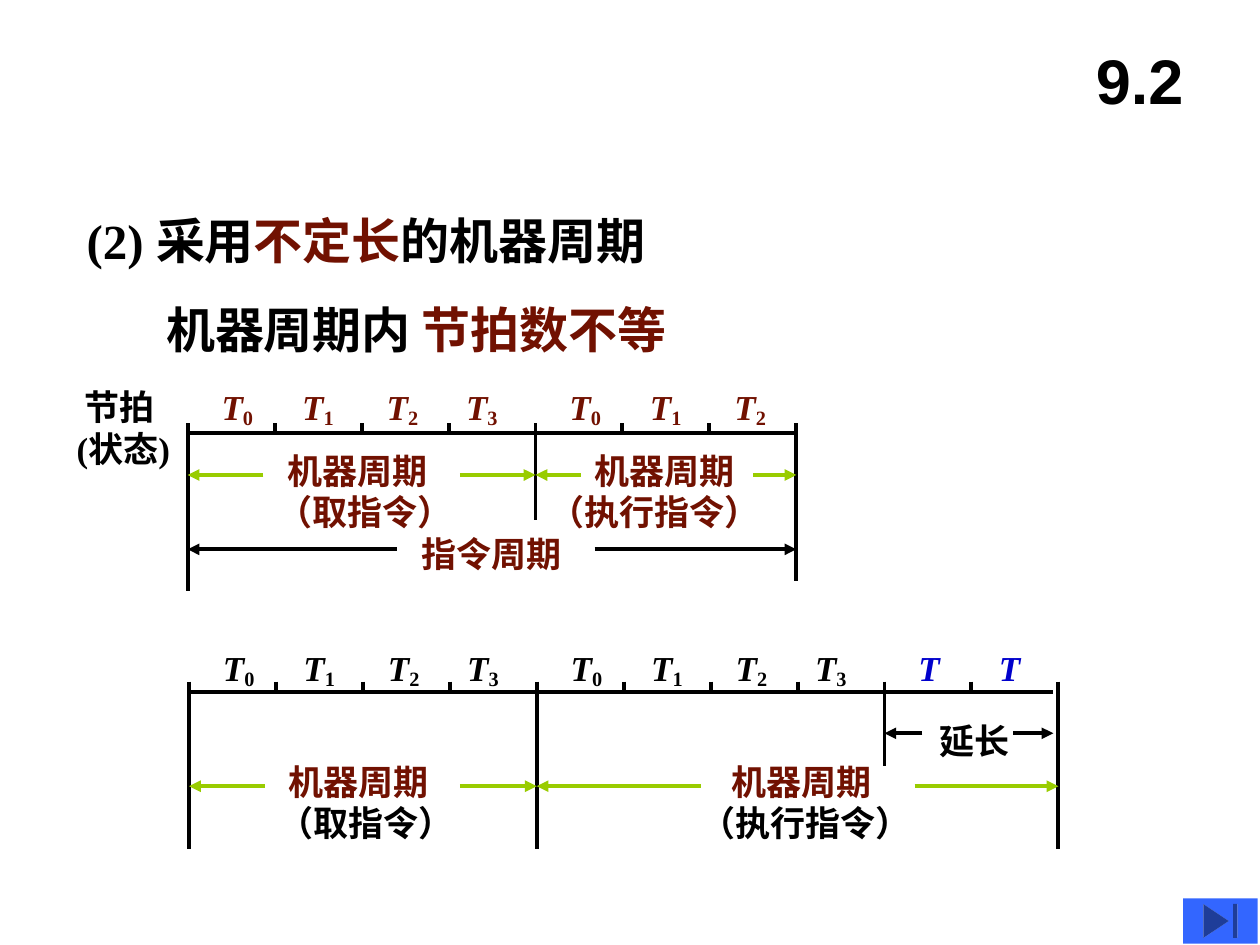
from lxml.etree import SubElement
from pptx import Presentation
from pptx.dml.color import RGBColor as Rgb
from pptx.enum.shapes import MSO_CONNECTOR as Conn, MSO_SHAPE as Shape
from pptx.enum.text import MSO_ANCHOR as Anchor, MSO_AUTO_SIZE as Fit, PP_ALIGN as Align
from pptx.oxml.ns import qn
from pptx.util import Inches, Pt

COLORS = {"ink": "000000", "red": "711101", "green": "99CC00", "blue": "0000CC", "key": "3366FF"}
STEP = 0.69
CYCLE = 4 * STEP
TICK = 0.08
MARKS = (0.17, 0.81, 1.48, 2.11)
BODY = {"name": "Times New Roman", "size": Pt(20), "bold": True}
HEAD = BODY | {"size": Pt(28)}
TITLE = BODY | {"name": "Arial", "size": Pt(36)}


def paint(name):
    return Rgb.from_string(COLORS[name])


def write(slide, box, rows, form=BODY, wrap=False):
    frame = slide.shapes.add_textbox(*map(Inches, box)).text_frame
    frame.word_wrap = wrap
    frame.auto_size = Fit.SHAPE_TO_FIT_TEXT
    for num, row in enumerate(rows):
        para = frame.add_paragraph() if num else frame.paragraphs[0]
        for text, tint, extra in row:
            run = para.add_run()
            run.text = text
            run.font.color.rgb = paint(tint)
            for key, value in (form | extra).items():
                setattr(run.font, key, value)
    return frame


def rule(slide, start, end, tint="ink", arrow=False):
    ends = map(Inches, (*start, *end))
    line = slide.shapes.add_connector(Conn.STRAIGHT, *ends)
    line.line.color.rgb = paint(tint)
    line.line.width = Pt(2.25)
    if arrow:
        SubElement(line.line._get_or_add_ln(), qn("a:tailEnd"), type="triangle")
    SubElement(line._element.spPr, qn("a:effectLst"))


def label(slide, left, top, text, tint):
    width = 0.2 + 0.278 * len(text)
    write(slide, (left, top, width, 0.44), [[(text, tint, {})]])


def beats(slide, left, axis, top, signs, tint):
    for num, sign in enumerate(signs):
        row = [("T", tint, {"italic": True})]
        if sign:
            row.append((sign, tint, {}))
        width = 0.45 if sign else 0.37
        frame = write(slide, (left + MARKS[num], top, width, 0.45), [row])
        for run in frame.paragraphs[0].runs[1:]:
            run.font._element.set("baseline", "-15000")
        if num:
            spot = left + num * STEP
            rule(slide, (spot, axis - TICK), (spot, axis))


def span(slide, left, right, level, gap, tint):
    rule(slide, (gap[0], level), (left, level), tint, True)
    rule(slide, (gap[1], level), (right, level), tint, True)


def phase(slide, left, right, level, gap, lead, note, tint):
    span(slide, left, right, level, gap, "green")
    label(slide, lead, level - 0.25, "机器周期", "red")
    label(slide, note[0], level + 0.07, note[1], tint)


def scale(slide, box, top, groups, walls):
    left, axis, width = box
    rule(slide, (left, axis), (left + width, axis))
    for num, (signs, tint) in enumerate(groups):
        beats(slide, left + num * CYCLE, axis, top, signs, tint)
    for spot, foot in walls:
        rule(slide, (spot, axis - TICK), (spot, foot))


def short(slide, left, axis):
    mid, end = left + CYCLE, left + 7 * STEP
    level = axis + 0.33
    scale(slide, (left, axis, end - left), 3.01, [("0123", "red"), ("012", "red")],
          [(left, 4.69), (mid, 4.13), (end, 4.61)])
    phase(slide, left, mid, level, (2.09, 3.65), 2.18, (2.1, "（取指令）"), "red")
    phase(slide, mid, end, level, (4.61, 5.98), 4.62, (4.26, "（执行指令）"), "red")
    span(slide, left, end, 4.36, (3.15, 4.72), "ink")
    label(slide, 3.25, 4.18, "指令周期", "red")


def long(slide, left, axis):
    mid, late, end = left + CYCLE, left + 2 * CYCLE, left + 10 * STEP
    level, foot = axis + 0.75, axis + 1.25
    scale(slide, (left, axis, 6.86), 5.08, [("0123", "ink"), ("0123", "ink"), (("", ""), "blue")],
          [(left, foot), (mid, foot), (late, 6.08), (end, foot)])
    phase(slide, left, mid, level, (2.1, 3.65), 2.19, (2.11, "（取指令）"), "ink")
    phase(slide, mid, end, level, (5.56, 7.26), 5.71, (5.46, "（执行指令）"), "ink")
    span(slide, late, 8.36, 5.82, (7.32, 8.04), "ink")
    label(slide, 7.36, 5.66, "延长", "ink")


def heading(slide, left, top):
    first = [("(2) 采用", "ink", {}), ("不定长", "red", {}), ("的机器周期", "ink", {})]
    second = [("机器周期内 ", "ink", {}), ("节拍数不等", "red", {})]
    write(slide, (left, top, 6.4, 0.57), [first], HEAD, True)
    write(slide, (left + 0.63, top + 0.71, 5.51, 0.57), [second], HEAD, True)


def number(slide, box):
    frame = write(slide, box, [[("9.2", "ink", {})]], TITLE, True)
    frame.auto_size = Fit.NONE
    frame.vertical_anchor = Anchor.MIDDLE
    frame.paragraphs[0].alignment = Align.CENTER


def button(slide, box):
    key = slide.shapes.add_shape(Shape.ACTION_BUTTON_END, *map(Inches, box))
    key.shadow.inherit = False
    key.fill.solid()
    key.fill.fore_color.rgb = paint("key")
    key.line.fill.background()


def main():
    deck = Presentation()
    deck.slide_width, deck.slide_height = Inches(10), Inches(7.5)
    slide = deck.slides.add_slide(deck.slide_layouts[6])
    number(slide, (8.42, 0.17, 1.25, 0.92))
    heading(slide, 0.59, 1.62)
    state = [[(" 节拍", "ink", {})], [("(状态)", "ink", {})]]
    write(slide, (0.51, 3.01, 1.07, 0.77), state)
    short(slide, 1.49, 3.44)
    long(slide, 1.5, 5.49)
    button(slide, (9.39, 7.13, 0.59, 0.36))
    deck.save("out.pptx")


if __name__ == "__main__":
    main()
